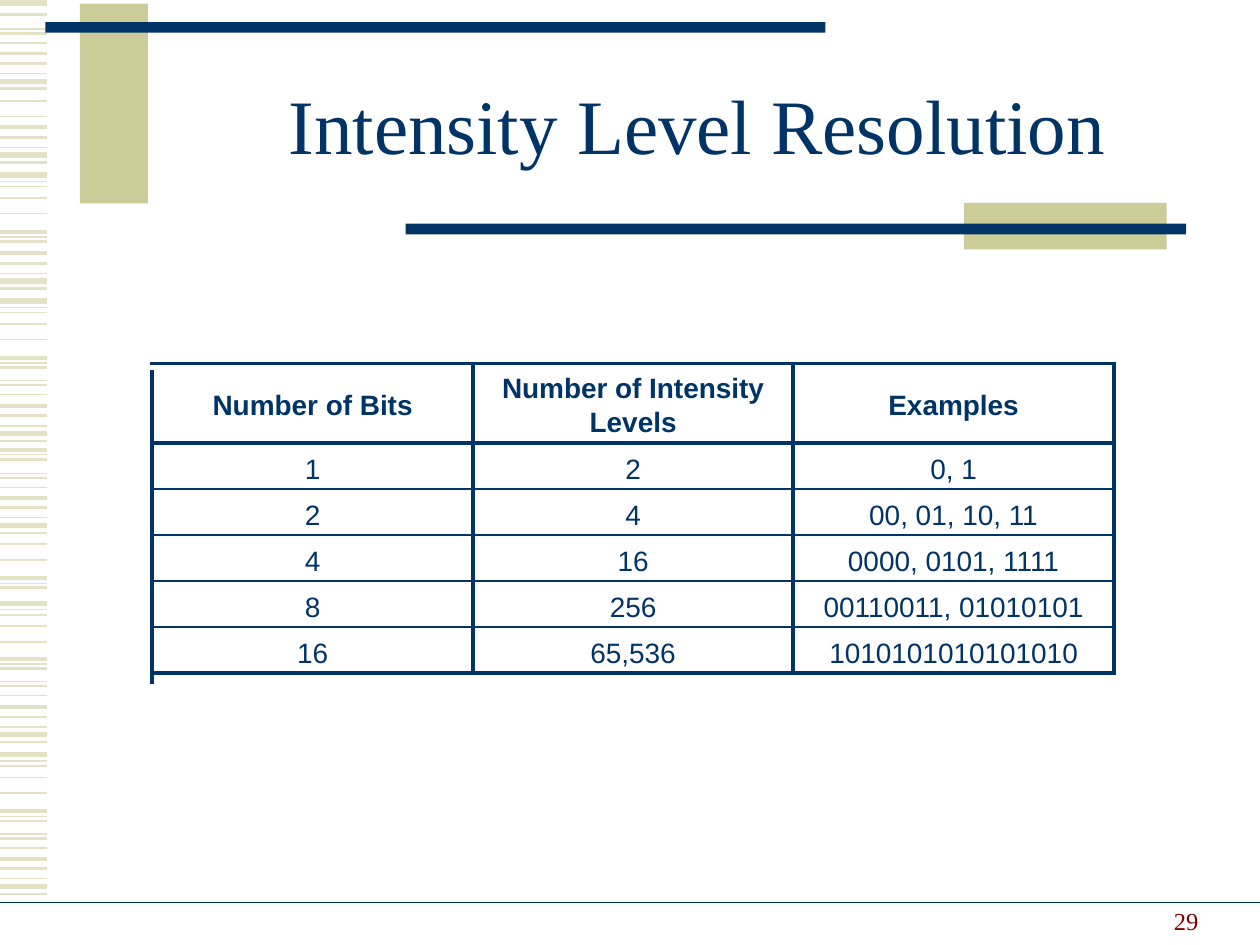
import dataclasses

import lxml.etree
import pptx
import pptx.dml.color
import pptx.enum.shapes
import pptx.enum.text
import pptx.oxml.ns
import pptx.util

NAVY = pptx.dml.color.RGBColor(0x00, 0x33, 0x66)
KHAKI = pptx.dml.color.RGBColor(0xCC, 0xCC, 0x99)
PALE_KHAKI = pptx.dml.color.RGBColor(0xE3, 0xE2, 0xC7)
MAROON = pptx.dml.color.RGBColor(0x80, 0x00, 0x00)
SERIF, SANS = "Times New Roman", "Arial"
ALIGN = pptx.enum.text.PP_ALIGN
ANCHOR = pptx.enum.text.MSO_ANCHOR

# The page is a grid of 1000 columns by 750 rows
COLUMNS, ROWS = 1000, 750
UNIT = pptx.util.Inches(0.01)


@dataclasses.dataclass(frozen=True)
class Area:
    column: float
    row: float
    width: float
    height: float

    def lengths(self) -> list[int]:
        return [units(value) for value in dataclasses.astuple(self)]


@dataclasses.dataclass(frozen=True)
class Band:
    """A group of stripes, as (row offset, points), repeated at several rows."""
    stripes: tuple[tuple[float, float], ...]
    starts: tuple[float, ...]


@dataclasses.dataclass(frozen=True)
class Style:
    font: str
    size: float
    color: pptx.dml.color.RGBColor
    bold: bool = False


STRIPE_END = 37.5
BANDS = (
    Band(((0, 3), (9, 1.5)), (2.5,)),
    Band(((0, 1), (12.5, 1)), (80, 432)),
    Band(((0, 0.75), (3.5, 1.5), (11, 1)), (23, 302, 376, 541, 662)),
    Band(((0, 2.25), (8, 1.5), (16, 0.75), (22, 3), (28, 1.5)),
         (42.5, 101, 201, 322, 395, 561, 681.5)),
    Band(((0, 3), (5, 0.75), (9, 1), (18, 1), (30.5, 1)), (139, 239, 479, 599)),
    Band(((0, 2.25), (4, 0.75), (7.5, 1.5)), (184, 284, 357, 459, 523, 644)),
)
BARS = (
    (Area(63.5, 3, 54, 158.5), KHAKI),
    (Area(36, 17.5, 619, 8.5), NAVY),
    (Area(765, 161, 161, 37), KHAKI),
    (Area(322, 177.5, 619.5, 8.5), NAVY),
)
TITLE_AREA = Area(150, 41.5, 807, 125)
NUMBER_AREA = Area(721, 697, 240, 50)
FOOTER_ROW = 716.5

TABLE_AREA = Area(121, 288.5, 763, 246)
HEADER_HEIGHT = 63
LEFT_EDGE_DROP = 6.5
THICK, THIN = 2.25, 1
LEVELS = (
    ("Number of Bits", "Number of Intensity Levels", "Examples"),
    ("1", "2", "0, 1"),
    ("2", "4", "00, 01, 10, 11"),
    ("4", "16", "0000, 0101, 1111"),
    ("8", "256", "00110011, 01010101"),
    ("16", "65,536", "1010101010101010"),
)
LAST_ROW = len(LEVELS) - 1
ROW_HEIGHT = (TABLE_AREA.height - HEADER_HEIGHT) / LAST_ROW
COLUMN_WIDTH = TABLE_AREA.width / len(LEVELS[0])


def units(count: float) -> int:
    return round(count * UNIT)


def draw_line(page, start: tuple[float, float], end: tuple[float, float],
              color: pptx.dml.color.RGBColor, points: float,
              cap: str = "flat") -> None:
    line = page.shapes.add_connector(
        pptx.enum.shapes.MSO_CONNECTOR.STRAIGHT, *map(units, start + end))
    line.line.color.rgb = color
    line.line.width = pptx.util.Pt(points)
    line.line._get_or_add_ln().set("cap", cap)
    lxml.etree.SubElement(line._element.spPr, pptx.oxml.ns.qn("a:effectLst"))


def draw_bar(page, area: Area, color: pptx.dml.color.RGBColor) -> None:
    bar = page.shapes.add_shape(
        pptx.enum.shapes.MSO_SHAPE.RECTANGLE, *area.lengths())
    bar.shadow.inherit = False
    bar.fill.solid()
    bar.fill.fore_color.rgb = color
    bar.line.fill.background()


def write(frame, text: str, style: Style, align: ALIGN,
          spacing: float = 1.0) -> None:
    para = frame.paragraphs[0]
    para.alignment = align
    para.line_spacing = spacing
    span = para.add_run()
    span.text = text
    span.font.name = style.font
    span.font.size = pptx.util.Pt(style.size)
    span.font.bold = style.bold
    span.font.color.rgb = style.color


def clear_borders(cell) -> None:
    for side in "LRTB":
        edge = lxml.etree.SubElement(cell._tc.get_or_add_tcPr(),
                                     pptx.oxml.ns.qn(f"a:ln{side}"))
        lxml.etree.SubElement(edge, pptx.oxml.ns.qn("a:noFill"))


def draw_table(page) -> None:
    table = page.shapes.add_table(
        len(LEVELS), len(LEVELS[0]), *TABLE_AREA.lengths()).table
    table.first_row = table.horz_banding = False
    for column in table.columns:
        column.width = units(COLUMN_WIDTH)
    for index, row in enumerate(table.rows):
        row.height = units(ROW_HEIGHT if index else HEADER_HEIGHT)
        for cell, text in zip(row.cells, LEVELS[index]):
            clear_borders(cell)
            cell.fill.background()
            cell.vertical_anchor = ANCHOR.TOP if index else ANCHOR.MIDDLE
            cell.margin_top = units(5 if index else 3)
            cell.margin_bottom = units(2 if index else 3)
            write(cell.text_frame, text, Style(SANS, 16, NAVY, index == 0),
                  ALIGN.CENTER, 1.1)


def draw_rules(page) -> None:
    left, top = TABLE_AREA.column, TABLE_AREA.row
    right, bottom = left + TABLE_AREA.width, top + TABLE_AREA.height

    # Thick rules frame the header and close the table
    rows = [top] + [top + HEADER_HEIGHT + index * ROW_HEIGHT
                    for index in range(LAST_ROW + 1)]
    for index, row in enumerate(rows):
        points = THICK if index in (0, 1, len(rows) - 1) else THIN
        draw_line(page, (left, row), (right, row), NAVY, points, "sq")

    # The left edge sits a little lower than the other uprights
    for index in range(len(LEVELS[0]) + 1):
        column = left + index * COLUMN_WIDTH
        drop = 0 if index else LEFT_EDGE_DROP
        draw_line(page, (column, top + drop), (column, bottom + drop),
                  NAVY, THICK, "sq")


def main() -> None:
    deck = pptx.Presentation()
    deck.slide_width, deck.slide_height = units(COLUMNS), units(ROWS)
    page = deck.slides.add_slide(deck.slide_layouts.get_by_name("Title Only"))

    # Striped margin
    for band in BANDS:
        for start in band.starts:
            for offset, points in band.stripes:
                row = start + offset
                draw_line(page, (0, row), (STRIPE_END, row), PALE_KHAKI, points)

    # Bars around the title, and the footer rule
    for area, color in BARS:
        draw_bar(page, area, color)
    draw_line(page, (0, FOOTER_ROW), (COLUMNS, FOOTER_ROW), NAVY, 0.75)

    # Title
    title = page.shapes.title
    title.left, title.top, title.width, title.height = TITLE_AREA.lengths()
    title.text_frame.auto_size = pptx.enum.text.MSO_AUTO_SIZE.NONE
    title.text_frame.vertical_anchor = ANCHOR.MIDDLE
    write(title.text_frame, "Intensity Level Resolution",
          Style(SERIF, 44, NAVY), ALIGN.CENTER, 0.85)

    # Page number
    box = page.shapes.add_textbox(*NUMBER_AREA.lengths())
    box.text_frame.word_wrap = True
    box.text_frame.vertical_anchor = ANCHOR.BOTTOM
    write(box.text_frame, "29", Style(SERIF, 14, MAROON), ALIGN.RIGHT)

    # Table of levels
    draw_table(page)
    draw_rules(page)
    deck.save("out.pptx")


if __name__ == "__main__":
    main()
